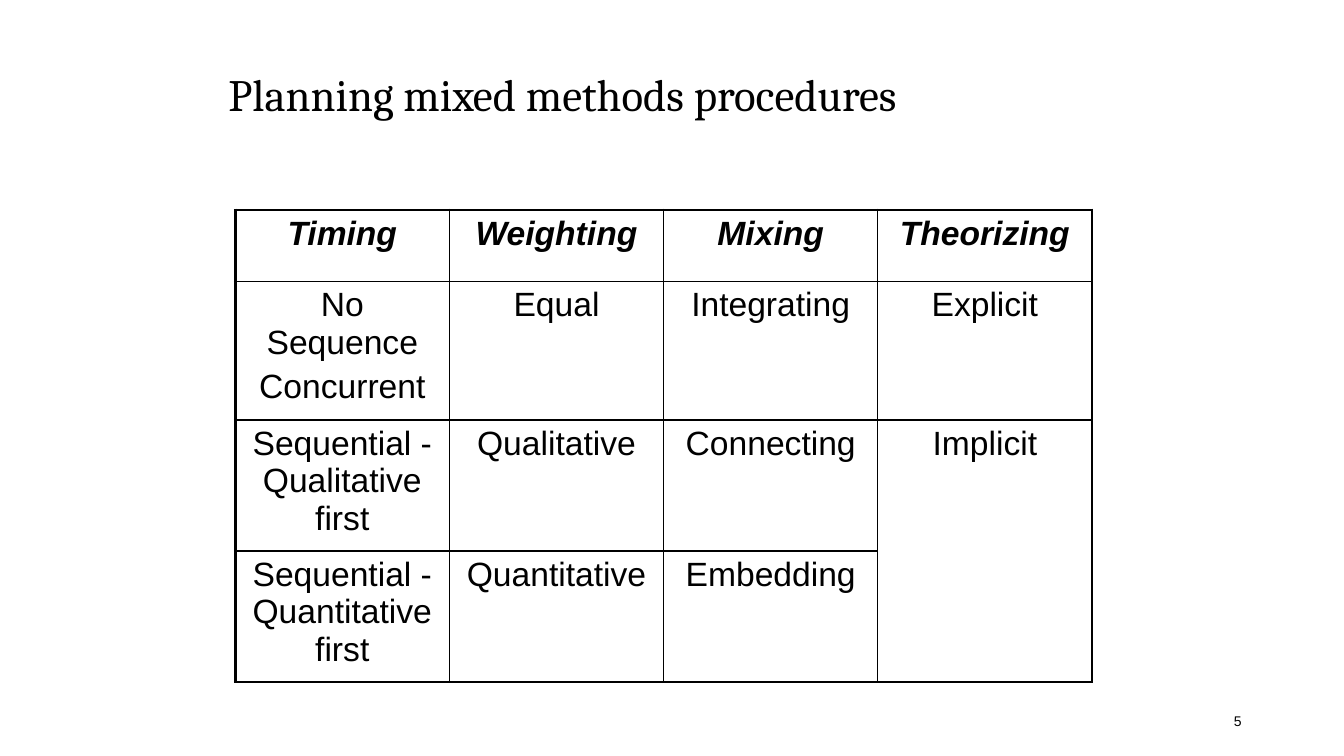
import pptx
import pptx.dml.color
import pptx.enum.text
import pptx.oxml
import pptx.oxml.ns
import pptx.util

Align = pptx.enum.text.PP_ALIGN
Anchor = pptx.enum.text.MSO_ANCHOR
INK = "000000"
THICK, THIN = 2.25, 1
ROWS = [
    ["Timing", "Weighting", "Mixing", "Theorizing"],
    ["No Sequence\nConcurrent", "Equal", "Integrating", "Explicit"],
    ["Sequential - Qualitative first", "Qualitative", "Connecting", "Implicit"],
    ["Sequential - Quantitative first", "Quantitative", "Embedding", ""],
]
HEIGHTS = [8.5, 16.5, 15.6, 15.6]


def color(code):
    """Turn a hex string into a colour."""
    return pptx.dml.color.RGBColor.from_string(code)


class Deck:
    """Hold the style and the current slide on a grid of 160 by 90 units."""

    def __init__(self):
        """Start a wide deck with one title-only slide."""
        self.prs = pptx.Presentation()
        self.prs.slide_width = pptx.util.Inches(13.33)
        self.prs.slide_height = pptx.util.Inches(7.5)
        self.slide = self.prs.slides.add_slide(self.prs.slide_layouts[5])

    def col(self, n):
        """Give the width of n grid columns."""
        return round(self.prs.slide_width * n / 160)

    def row(self, n):
        """Give the height of n grid rows."""
        return round(self.prs.slide_height * n / 90)

    def box(self, x, y, w, h):
        """Give a grid box as lengths."""
        return self.col(x), self.row(y), self.col(w), self.row(h)

    def style(self, frame, text, size, font="Arial", align=Align.LEFT, bold=False):
        """Fill a text frame and format its runs."""
        frame.text = text
        frame.word_wrap = True
        for para in frame.paragraphs:
            para.alignment = align
            for run in para.runs:
                run.font.size = pptx.util.Pt(size)
                run.font.name = font
                run.font.bold = run.font.italic = bold
                run.font.color.rgb = color(INK)

    def title(self, text, *box):
        """Place and fill the title."""
        shape = self.slide.shapes.title
        shape.left, shape.top, shape.width, shape.height = self.box(*box)
        self.style(shape.text_frame, text, 32, "Cambria")
        shape.text_frame.vertical_anchor = Anchor.MIDDLE
        shape.text_frame.paragraphs[0].line_spacing = 0.9

    def label(self, text, *box):
        """Add a small right-aligned text."""
        frame = self.slide.shapes.add_textbox(*self.box(*box)).text_frame
        self.style(frame, text, 10, align=Align.RIGHT)
        frame.vertical_anchor = Anchor.MIDDLE

    def border(self, cell, **sides):
        """Draw the cell sides at their widths, where 0 is no line."""
        props = cell._tc.get_or_add_tcPr()
        for spot, side in enumerate("LRTB"):
            width = sides[side]
            fill = f'<a:solidFill><a:srgbClr val="{INK}"/></a:solidFill>' if width else "<a:noFill/>"
            props.insert(spot, pptx.oxml.parse_xml(
                f'<a:ln{side} {pptx.oxml.ns.nsdecls("a")} w="{pptx.util.Pt(width)}">{fill}</a:ln{side}>'))

    def table(self, rows, heights, x, y, w):
        """Add a ruled table with a bold head and an open last column end."""
        last, end = len(rows) - 1, len(rows[0]) - 1
        grid = self.slide.shapes.add_table(
            last + 1, end + 1, *self.box(x, y, w, sum(heights))).table
        grid.first_row = grid.horz_banding = False
        for line in grid.columns:
            line.width = self.col(w / (end + 1))
        for r, (texts, height) in enumerate(zip(rows, heights)):
            grid.rows[r].height = self.row(height)
            for c, text in enumerate(texts):
                cell = grid.cell(r, c)
                cell.fill.background()
                self.style(cell.text_frame, text, 24, align=Align.CENTER, bold=r == 0)
                for para in cell.text_frame.paragraphs:
                    para.space_before = pptx.util.Pt(4.8)
                self.border(
                    cell,
                    L=THIN if c else THICK,
                    R=THICK if c == end else THIN,
                    T=THICK if r == 0 else THIN if text else 0,
                    B=THICK if r == last else THIN if rows[r + 1][c] else 0)


def main():
    """Build and save the slide."""
    deck = Deck()
    deck.title("Planning mixed methods procedures", 26, 4, 102, 15)
    deck.table(ROWS, HEIGHTS, 28, 25, 102)
    deck.label("5", 113, 83.4, 36, 4.8)
    deck.prs.save("out.pptx")


if __name__ == "__main__":
    main()
